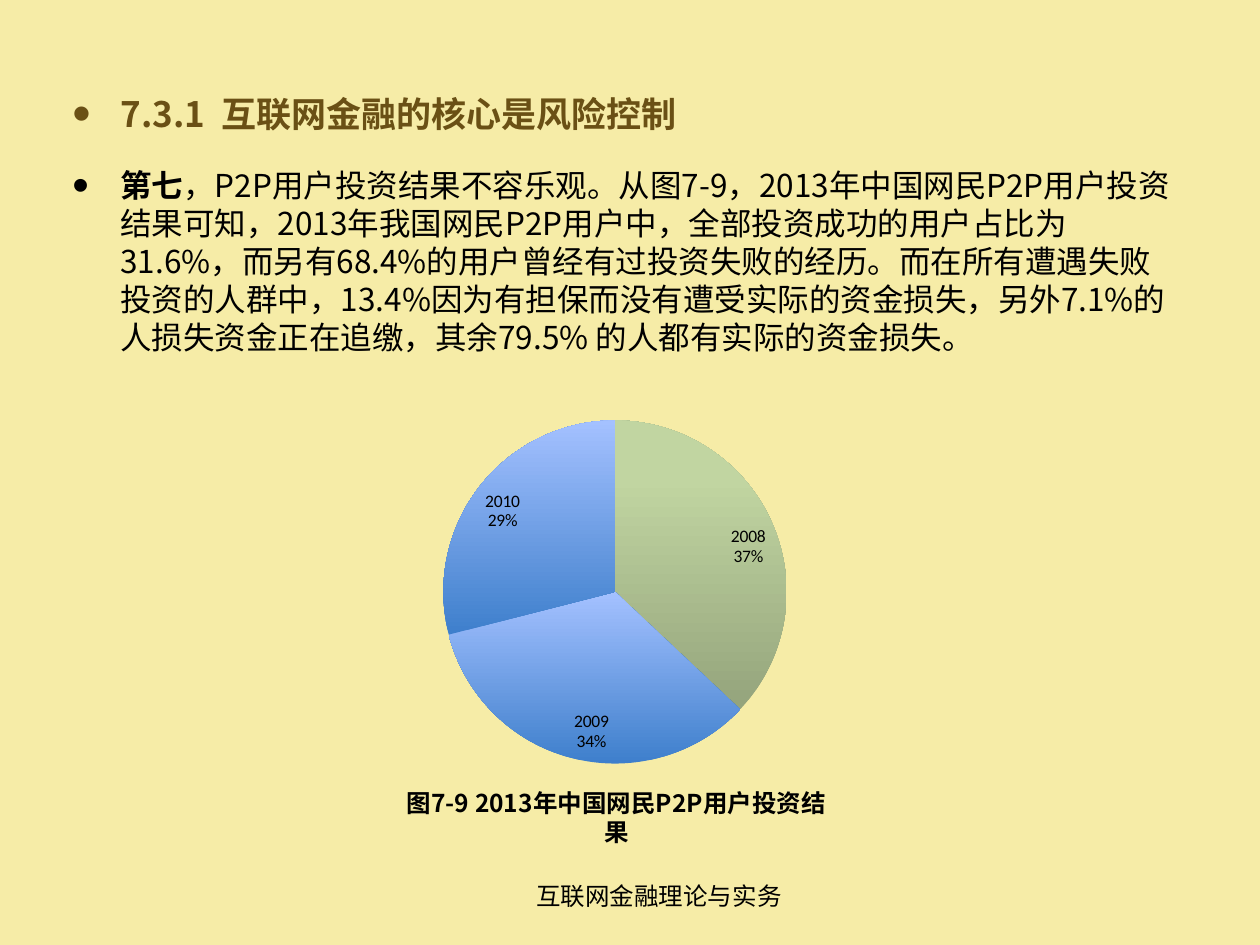
from lxml import etree
from pptx import Presentation
from pptx.chart.data import CategoryChartData
from pptx.dml.color import RGBColor
from pptx.enum.chart import XL_CHART_TYPE, XL_LABEL_POSITION
from pptx.enum.text import PP_ALIGN
from pptx.oxml.ns import qn
from pptx.util import Emu, Pt

PIE = XL_CHART_TYPE.PIE
INSIDE = XL_LABEL_POSITION.INSIDE_END
CENTER = PP_ALIGN.CENTER
FONT = "Noto Sans CJK SC"
BLACK = "000000"
BROWN = "6A5015"
SHADES = [
    ("637D2E", "81A23C", "82A53A"),
    ("779737", "9BC348", "9DC746"),
    ("94A47C", "C1D5A1", "C2D7A1"),
]
STOPS = (0, 80, 100)


def px(n):
    return Emu(round(n * 914400 / 126))


def color(code):
    return RGBColor.from_string(code)


def sub(parent, tag, **attrs):
    return etree.SubElement(parent, qn(tag), attrs)


def add_box(slide, x, y, w, h):
    frame = slide.shapes.add_textbox(px(x), px(y), px(w), px(h)).text_frame
    frame.word_wrap = True
    return frame


def style(para, size, pitch, code=BLACK, bold=False):
    font = para.font
    font.name, font.size, font.bold = FONT, Pt(size), bold
    font.color.rgb = color(code)
    sub(font._element, "a:ea", typeface=FONT)
    para.line_spacing = Pt(pitch)


def add_bullet(para):
    para.space_before = Pt(18)
    props = para._p.get_or_add_pPr()
    props.set("marL", str(px(48)))
    props.set("indent", str(-px(48)))
    marks = [
        etree.Element(qn("a:buSzPct"), val="150000"),
        etree.Element(qn("a:buFont"), typeface="Arial"),
        etree.Element(qn("a:buChar"), char="•"),
    ]
    for mark in marks:
        props.find(qn("a:defRPr")).addprevious(mark)


def add_body(slide):
    frame = add_box(slide, 60, 86, 1134, 357)
    head = frame.paragraphs[0]
    head.text = "7.3.1  互联网金融的核心是风险控制"
    style(head, 20, 24, BROWN, True)
    add_bullet(head)

    para = frame.add_paragraph()
    style(para, 18, 21.7)
    add_bullet(para)
    lead = para.add_run()
    lead.text = "第七"
    lead.font.bold = True
    para.add_run().text = (
        "，P2P用户投资结果不容乐观。从图7-9，2013年中国网民P2P用户投资结果可知，"
        "2013年我国网民P2P用户中，全部投资成功的用户占比为31.6%，"
        "而另有68.4%的用户曾经有过投资失败的经历。而在所有遭遇失败投资的人群中，"
        "13.4%因为有担保而没有遭受实际的资金损失，另外7.1%的人损失资金正在追缴，"
        "其余79.5% 的人都有实际的资金损失。"
    )


def add_line(slide, text, x, y, w, bold=False):
    para = add_box(slide, x, y, w, 43).paragraphs[0]
    para.text = text
    para.alignment = CENTER
    style(para, 14, 17, bold=bold)


def shade(point, codes):
    """Fill a slice with a vertical gradient, first colour at the bottom."""
    point.format.line.fill.background()
    fill = point.format.fill
    fill.gradient()
    fill.gradient_angle = 90
    grad = point._element.find(".//" + qn("a:gradFill")) if hasattr(point, "_element") else fill._fill._gradFill
    grad.find(qn("a:lin")).set("ang", "16200000")
    stops = grad.find(qn("a:gsLst"))
    for old in list(stops):
        stops.remove(old)
    for pos, code in zip(STOPS, codes):
        stop = sub(stops, "a:gs", pos=str(pos * 1000))
        sub(stop, "a:srgbClr", val=code)


def add_pie(slide):
    data = CategoryChartData()
    data.categories = ["2008", "2009", "2010"]
    data.add_series("Series 1", (37, 34, 29))
    chart = slide.shapes.add_chart(
        PIE, px(300), px(403), px(630), px(378), data
    ).chart
    chart.has_title = chart.has_legend = False
    chart.font.name, chart.font.size = "Calibri", Pt(10)
    chart.font.color.rgb = color(BLACK)
    plot = chart.plots[0]
    plot.vary_by_categories = True
    plot.has_data_labels = True
    labels = plot.data_labels
    labels.show_category_name = labels.show_percentage = True
    labels.show_value = False
    labels.number_format, labels.number_format_is_linked = "0%", False
    labels.position = INSIDE
    mark = etree.Element(qn("c:separator"))
    mark.text = "\n"
    labels._element.find(qn("c:showBubbleSize")).addnext(mark)
    for i, codes in enumerate(SHADES):
        shade(plot.series[0].points[i], codes)


def main():
    deck = Presentation()
    deck.slide_width, deck.slide_height = px(1260), px(945)
    slide = deck.slides.add_slide(deck.slide_layouts[6])
    back = slide.background.fill
    back.solid()
    back.fore_color.rgb = color("F6ECA7")
    add_line(slide, "互联网金融理论与实务", 386, 874, 546)
    add_body(slide)
    add_line(slide, "图7-9 2013年中国网民P2P用户投资结果", 387, 781, 459, True)
    add_pie(slide)
    deck.save("out.pptx")


if __name__ == "__main__":
    main()
